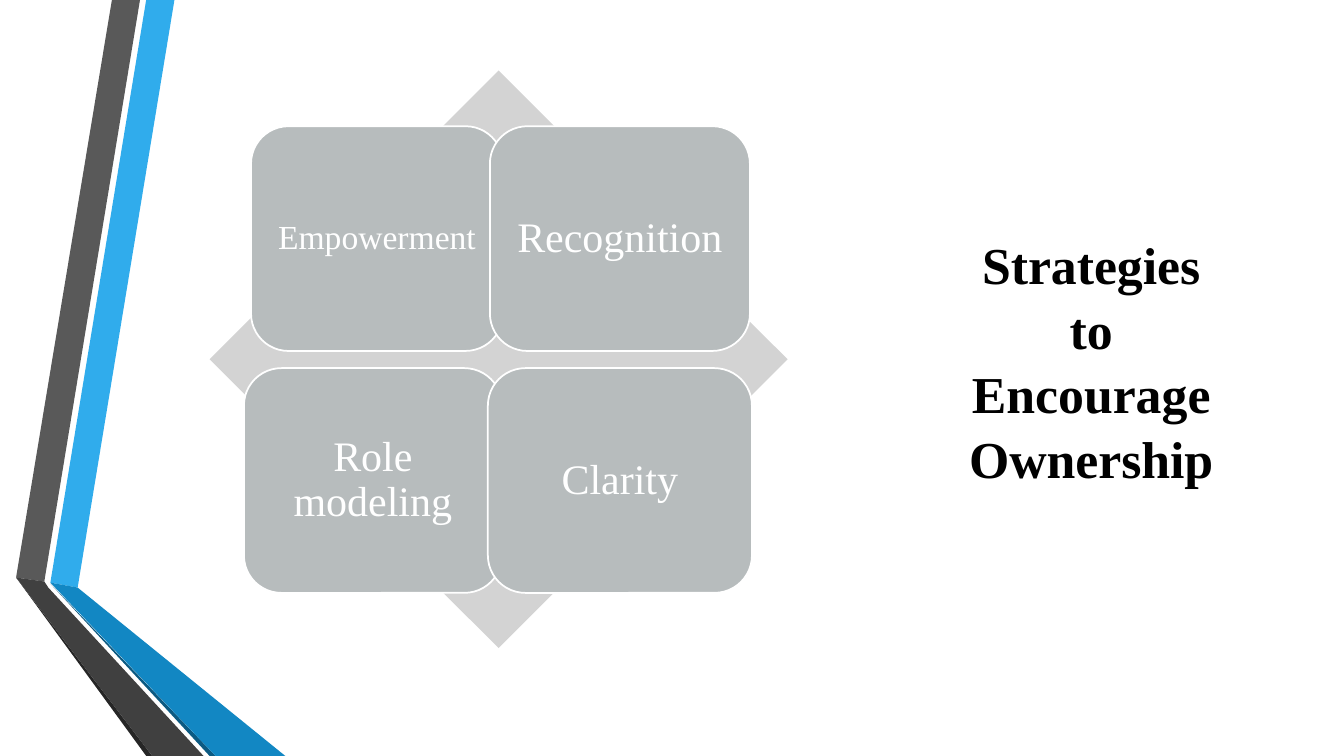
from dataclasses import dataclass

from pptx import Presentation, util as u
from pptx.dml.color import RGBColor
from pptx.enum import shapes, text

FONT = "Times New Roman"
COLOURS = {
    "blue": "30ACEC", "blue fold": "1287C3", "blue edge": "0C5A82",
    "grey": "595959", "grey fold": "404040", "grey edge": "262626",
    "diamond": "D3D3D3", "card": "B7BCBD", "white": "FFFFFF", "black": "000000",
}
WIDTH, HEIGHT = u.Inches(13.333), u.Inches(7.5)

# Card rows, in percent of the slide's height
FIRST_ROW, ROW_STEP, CARD_HEIGHT = 16.7, 32, 29.73


@dataclass
class Ribbon:
    colour: str
    points: list[tuple[float, float]]  # percent of slide width and height


@dataclass
class Card:
    label: str
    row: int
    left: float  # percent of slide width
    width: float
    size: int = 30
    inset: float = 0.12


RIBBONS = [
    Ribbon("blue", [(3.75, 77.07), (5.78, 77.73), (12.98, 0), (10.88, 0)]),
    Ribbon("grey", [(10.42, 0), (8.33, 0), (1.2, 76.4), (3.3, 76.93)]),
    Ribbon("grey edge", [(1.2, 76.4), (10.88, 100), (11.33, 100)]),
    Ribbon("blue edge", [(3.75, 77.2), (15.6, 100), (16.05, 100)]),
    Ribbon("blue fold", [(3.75, 77.07), (16.05, 100), (21.23, 100), (5.78, 77.73)]),
    Ribbon("grey fold", [(15.15, 100), (3.6, 77.73), (3.3, 76.93), (1.2, 76.4),
                         (11.33, 100)]),
]
CARDS = [
    Card("Empowerment", 0, 18.68, 18.75, size=24, inset=0.1),
    Card("Recognition", 0, 36.45, 19.35),
    Card("Role modeling", 1, 18.15, 19.2),
    Card("Clarity", 1, 36.3, 19.65),
]


def across(share: float) -> int:
    return round(WIDTH * share / 100)


def down(share: float) -> int:
    return round(HEIGHT * share / 100)


def area(left: float, top: float, width: float, height: float) -> tuple:
    return across(left), down(top), across(width), down(height)


def rgb(colour: str) -> RGBColor:
    return RGBColor.from_string(COLOURS[colour])


def paint(shape, colour: str) -> None:
    shape.shadow.inherit = False
    shape.fill.solid()
    shape.fill.fore_color.rgb = rgb(colour)
    shape.line.fill.background()


def write(shape, words: str, size: int, colour: str, spacing: float,
          inset: float = 0.1, bold: bool = False) -> None:
    frame = shape.text_frame
    frame.word_wrap = True
    frame.vertical_anchor = text.MSO_ANCHOR.MIDDLE
    frame.margin_left = frame.margin_right = u.Inches(inset)
    frame.margin_top = frame.margin_bottom = u.Inches(inset)
    para = frame.paragraphs[0]
    para.text = words
    para.alignment = text.PP_ALIGN.CENTER
    para.line_spacing = spacing
    para.font.name = FONT
    para.font.size = u.Pt(size)
    para.font.bold = bold
    para.font.color.rgb = rgb(colour)


def draw_ribbon(page, ribbon: Ribbon) -> None:
    start, *rest = [(across(x), down(y)) for x, y in ribbon.points]
    builder = page.shapes.build_freeform(*start)
    builder.add_line_segments(rest, close=True)
    paint(builder.convert_to_shape(), ribbon.colour)


def draw_card(page, card: Card) -> None:
    top = FIRST_ROW + card.row * ROW_STEP
    box = page.shapes.add_shape(shapes.MSO_SHAPE.ROUNDED_RECTANGLE,
                                *area(card.left, top, card.width, CARD_HEIGHT))
    paint(box, "card")
    box.line.color.rgb = rgb("white")
    box.line.width = u.Pt(1.25)
    write(box, card.label, card.size, "white", 0.9, card.inset)


def main() -> None:
    deck = Presentation()
    deck.slide_width, deck.slide_height = WIDTH, HEIGHT
    page = deck.slides.add_slide(deck.slide_layouts[6])

    # Folded ribbons on the left edge
    for ribbon in RIBBONS:
        draw_ribbon(page, ribbon)

    # Title
    title = page.shapes.add_textbox(*area(71.18, 15.6, 20.03, 63.87))
    write(title, "Strategies to Encourage Ownership", 37, "black", 1.04, bold=True)

    # Diamond with its four cards
    diamond = page.shapes.add_shape(shapes.MSO_SHAPE.DIAMOND,
                                    *area(15.6, 9.33, 43, 76.4))
    paint(diamond, "diamond")
    for card in CARDS:
        draw_card(page, card)

    deck.save("out.pptx")


if __name__ == "__main__":
    main()
